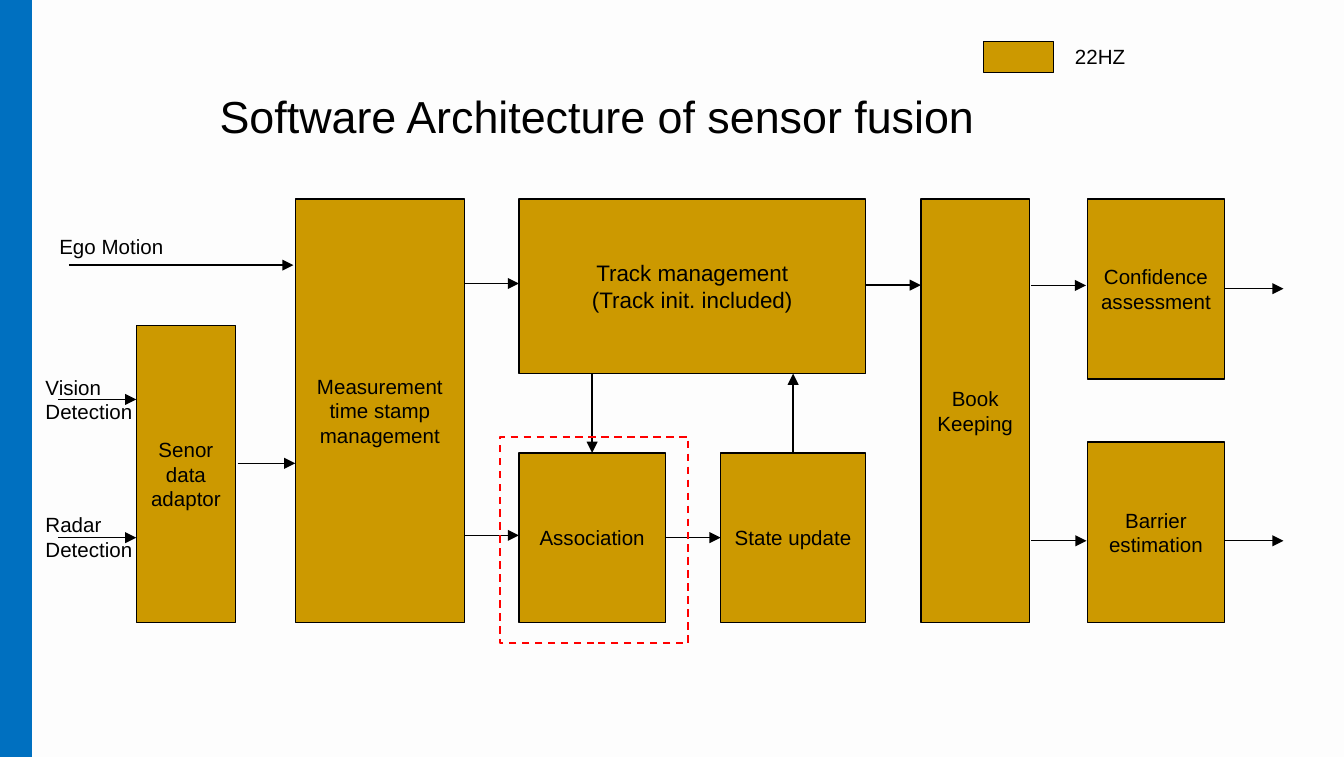
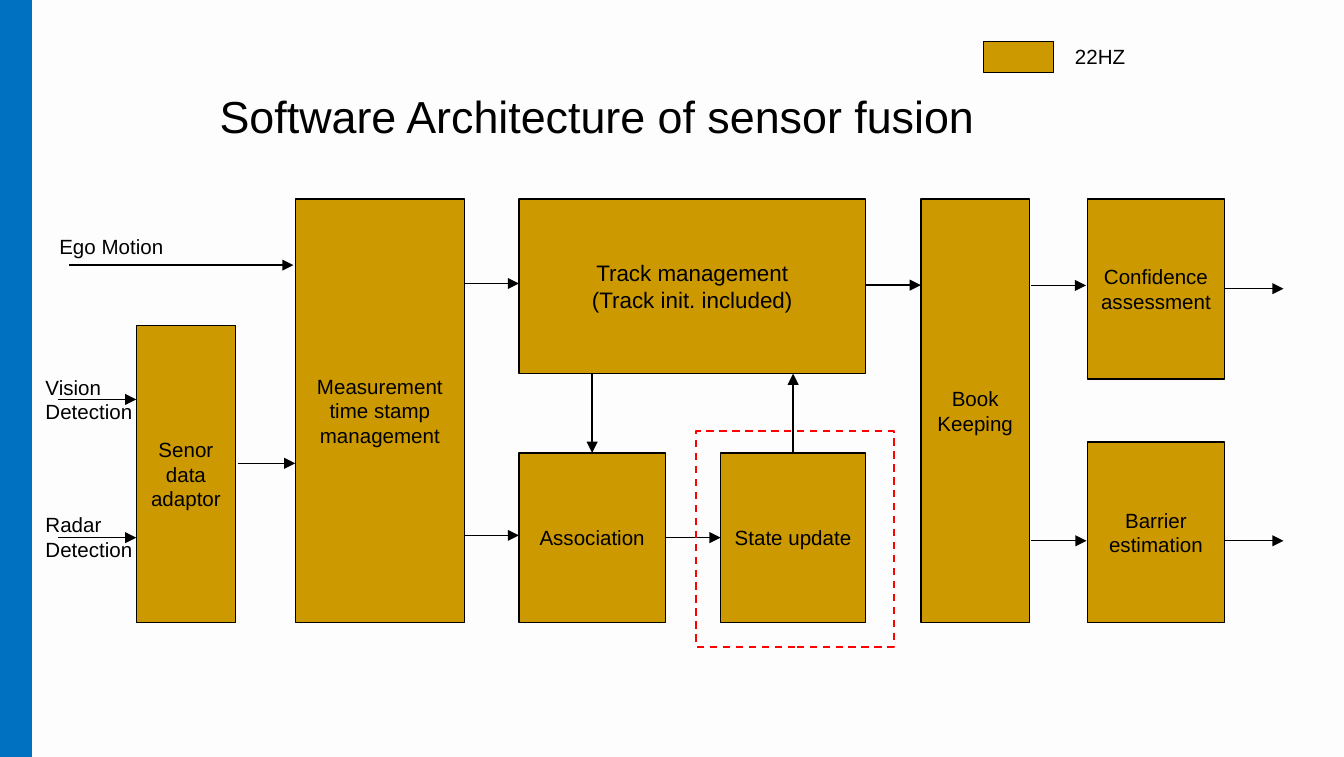
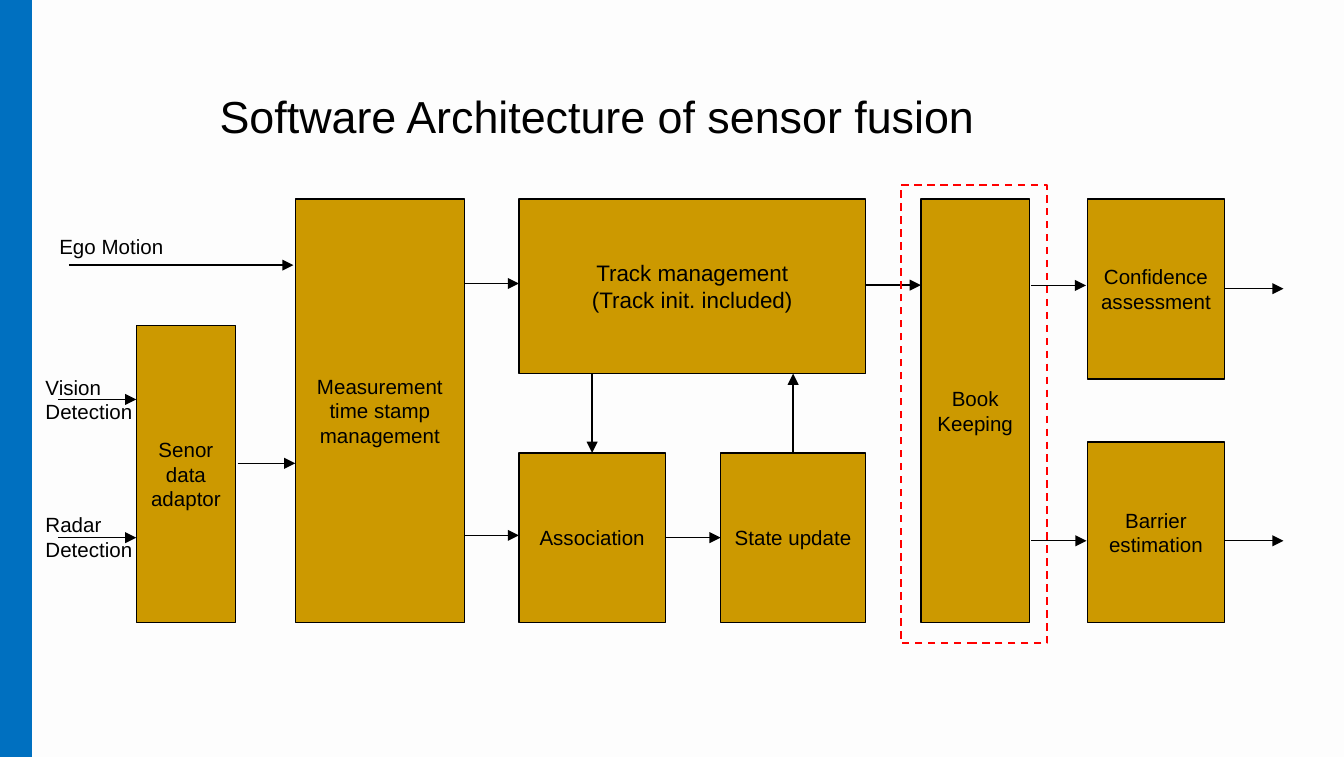
"""Build three slides that step through a sensor fusion architecture."""
from collections import namedtuple

from lxml import etree
from pptx import Presentation
from pptx.dml.color import RGBColor
from pptx.enum.dml import MSO_LINE
from pptx.enum.shapes import MSO_CONNECTOR, MSO_SHAPE
from pptx.enum.text import MSO_ANCHOR, MSO_AUTO_SIZE, PP_ALIGN
from pptx.oxml.ns import qn
from pptx.util import Pt

RECT = MSO_SHAPE.RECTANGLE
STRAIGHT = MSO_CONNECTOR.STRAIGHT
DASH = MSO_LINE.DASH
MIDDLE = MSO_ANCHOR.MIDDLE
CENTER = PP_ALIGN.CENTER
GROW = MSO_AUTO_SIZE.SHAPE_TO_FIT_TEXT

PAPER = RGBColor(0xFD, 0xFD, 0xFD)
BLUE = RGBColor(0x00, 0x70, 0xC0)
GOLD = RGBColor(0xCC, 0x99, 0x00)
BLACK = RGBColor(0x00, 0x00, 0x00)
RED = RGBColor(0xFF, 0x00, 0x00)
FONT = "Arial"
WIDTH, HEIGHT = 720, 405.36

Box = namedtuple("Box", "x y w h")
BAND = Box(0, 0, 17.1, HEIGHT)
TITLE = Box(110.6, 43.9, 449.3, 36)
LEGEND = Box(527, 20.2, 104, 20.9)
FLOW = Box(17.3, 106.5, 670.3, 226.8)

TALL, LOW, SIDE = FLOW.h, 90.8, 96.5
BLOCKS = {
    "adapt": ("Senor\ndata\nadaptor", Box(55.7, TALL - 159.1, 53.3, 159.1), 11),
    "time": ("Measurement\ntime stamp\nmanagement", Box(140.9, 0, 90.7, TALL), 11),
    "match": ("Association", Box(260.7, TALL - LOW, 78.5, LOW), 11),
    "state": ("State update", Box(368.7, TALL - LOW, 77.8, LOW), 11),
    "book": ("Book\nKeeping", Box(476, 0, 58.3, TALL), 11),
    "track": ("Track management\n(Track init. included)", Box(260.7, 0, 185.8, 93.6), 12),
    "wall": ("Barrier\nestimation", Box(565.3, TALL - SIDE, 73.4, SIDE), 11),
    "trust": ("Confidence assessment", Box(565.3, 0, 73.4, SIDE), 11),
}
INPUTS = [
    ("Ego Motion", Box(7.4, 15.2, 74.2, 20.9), 19.6, 139.9, 35.5),
    ("Vision Detection", Box(0, 90.6, 74.2, 33.8), 13.7, 55.7, 107.4),
    ("Radar Detection", Box(0, 164.2, 74.2, 33.8), 13.7, 55.7, 181.4),
]
LINKS = [
    ("adapt", "time", 141.6, 1, 0),
    ("time", "track", 45.3, 0, 0),
    ("time", "match", 180.2, 0, 0),
    ("match", "state", 181.4, 0, 0),
    ("track", "book", 46.2, 0, 0),
    ("book", "trust", 46.4, 0.6, 0.8),
    ("book", "wall", 183.1, 1, 0.5),
]
OUTPUTS = [("trust", 48.1), ("wall", 183.1)]

STEPS = [
    ("match", (10.1, 8.6, 12.2, 11.2), True),
    ("state", (13, 11.5, 15.1, 13), True),
    ("book", (10.8, 7.2, 9.4, 11.2), False),
]


def shift(box, base):
    """Return a box moved from inside its base to the slide."""
    return Box(base.x + box.x, base.y + box.y, box.w, box.h)


def write(frame, text, size):
    """Fill a text frame with black text, one paragraph a line."""
    frame.word_wrap = True
    frame.text = text
    for para in frame.paragraphs:
        para.font.name = FONT
        para.font.size = Pt(size)
        para.font.color.rgb = BLACK


def add_rect(slide, box, fill=None, line=None, weight=0.75):
    """Add a plain rectangle."""
    rect = slide.shapes.add_shape(RECT, *map(Pt, box))
    rect.shadow.inherit = False
    if fill is None:
        rect.fill.background()
    else:
        rect.fill.solid()
        rect.fill.fore_color.rgb = fill
    if line is None:
        rect.line.fill.background()
    else:
        rect.line.color.rgb = line
        rect.line.width = Pt(weight)
    return rect


def add_text(slide, box, text, size=11):
    """Add a text box that grows with its text."""
    frame = slide.shapes.add_textbox(*map(Pt, box)).text_frame
    write(frame, text, size)
    frame.auto_size = GROW


def add_block(slide, box, text, size):
    """Add a gold block with centred text."""
    frame = add_rect(slide, box, GOLD, BLACK).text_frame
    write(frame, text, size)
    frame.vertical_anchor = MIDDLE
    frame.margin_left = frame.margin_right = Pt(5)
    for para in frame.paragraphs:
        para.alignment = CENTER


def add_arrow(slide, base, left, top, right, low):
    """Add an arrow between two points inside the base."""
    line = slide.shapes.add_connector(
        STRAIGHT, Pt(base.x + left), Pt(base.y + top), Pt(base.x + right), Pt(base.y + low))
    line.line.color.rgb = BLACK
    line.line.width = Pt(0.75)
    props = line.line._get_or_add_ln()
    etree.SubElement(props, qn("a:tailEnd"), type="triangle")
    etree.SubElement(line._element.spPr, qn("a:effectLst"))


def add_legend(slide, base):
    """Add the rate swatch and its label."""
    add_rect(slide, shift(Box(0, 2.1, 37.6, 16.6), base), GOLD, BLACK)
    add_text(slide, shift(Box(41.8, 0, 67, base.h), base), "22HZ")


def add_flow(slide, base):
    """Add the blocks, arrows and input labels."""
    spots = {}
    for name, (text, box, size) in BLOCKS.items():
        spots[name] = box
        add_block(slide, shift(box, base), text, size)
    for text, box, start, end, y in INPUTS:
        add_arrow(slide, base, start, y, end, y)
        add_text(slide, shift(box, base), text)
    for start, goal, y, lead, lag in LINKS:
        edge = spots[start].x + spots[start].w
        add_arrow(slide, base, edge + lead, y, spots[goal].x - lag, y)
    for name, y in OUTPUTS:
        add_arrow(slide, base, spots[name].x + spots[name].w, y, base.w, y)
    match, state, track = spots["match"], spots["state"], spots["track"]
    down, up = match.x + match.w / 2, state.x + state.w / 2
    add_arrow(slide, base, down, track.h, down, match.y)
    add_arrow(slide, base, up, state.y, up, track.h)


def add_focus(slide, base, name, pads):
    """Add a dashed red frame around one block."""
    box = shift(BLOCKS[name][1], base)
    left, top, right, low = pads
    frame = Box(box.x - left, box.y - top, box.w + left + right, box.h + top + low)
    add_rect(slide, frame, line=RED, weight=1).line.dash_style = DASH


def add_step(deck, name, pads, legend):
    """Add a slide that marks one block of the flow."""
    slide = deck.slides.add_slide(deck.slide_layouts[6])
    add_rect(slide, BAND, BLUE)
    add_text(slide, TITLE, "Software Architecture of sensor fusion", 24)
    if legend:
        add_legend(slide, LEGEND)
    add_flow(slide, FLOW)
    add_focus(slide, FLOW, name, pads)


def main():
    """Build and save the deck."""
    deck = Presentation()
    deck.slide_width, deck.slide_height = Pt(WIDTH), Pt(HEIGHT)
    paper = deck.slide_master.background.fill
    paper.solid()
    paper.fore_color.rgb = PAPER
    for step in STEPS:
        add_step(deck, *step)
    deck.save("out.pptx")


if __name__ == "__main__":
    main()
